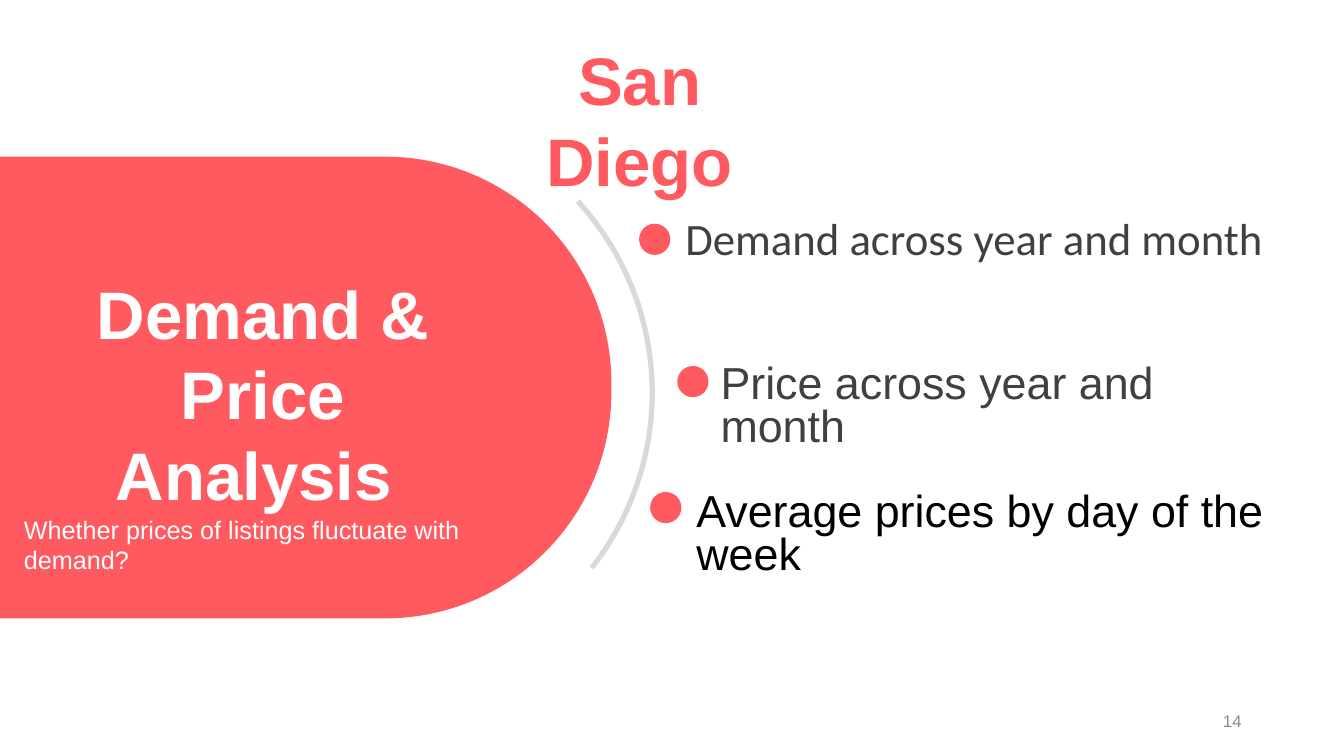
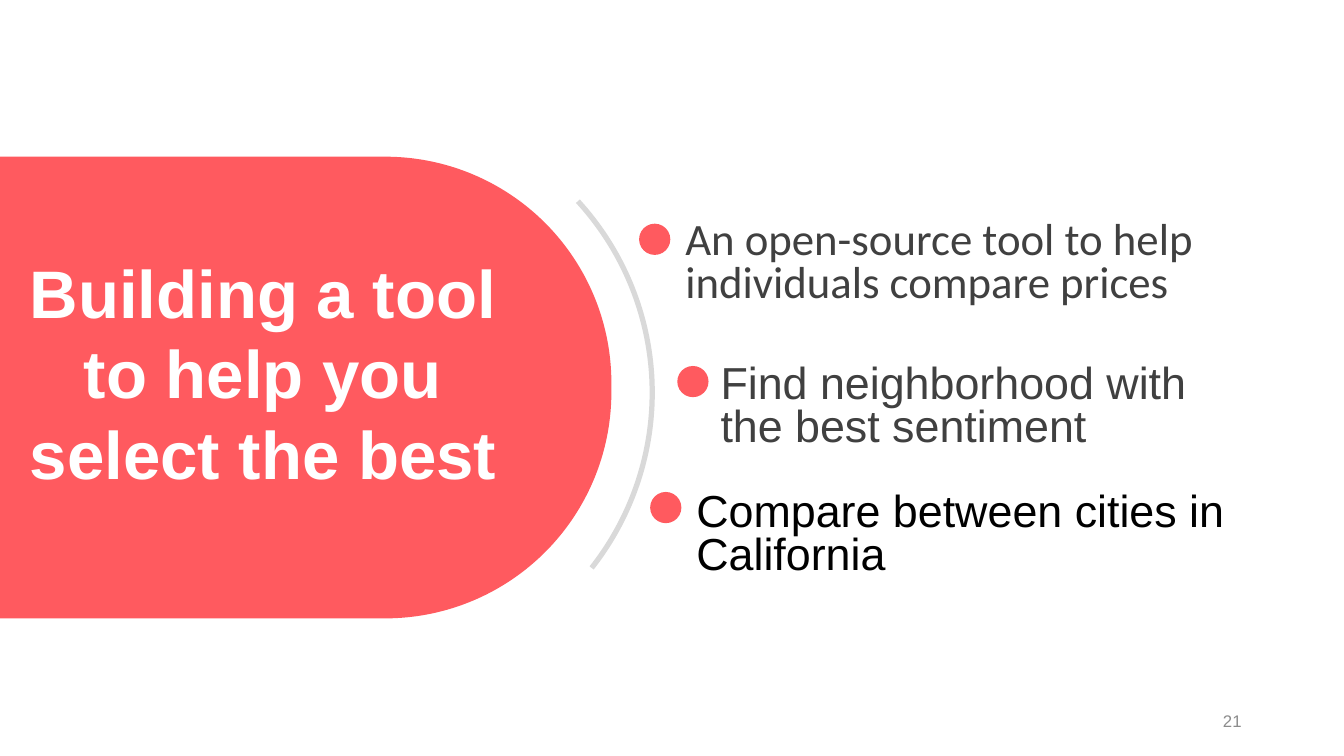
from dataclasses import dataclass

from pptx import Presentation
from pptx.dml.color import RGBColor
from pptx.enum.shapes import MSO_SHAPE
from pptx.enum.text import MSO_ANCHOR, PP_ALIGN
from pptx.util import Pt


@dataclass(frozen=True)
class Theme:
    coral: RGBColor = RGBColor(0xFF, 0x5A, 0x5F)
    white: RGBColor = RGBColor(0xFF, 0xFF, 0xFF)
    black: RGBColor = RGBColor(0x00, 0x00, 0x00)
    dark_gray: RGBColor = RGBColor(0x40, 0x40, 0x40)
    number_gray: RGBColor = RGBColor(0x8C, 0x8C, 0x8C)
    arc_gray: RGBColor = RGBColor(0xD9, 0xD9, 0xD9)
    font: str = "Arial"
    lead_font: str = "Calibri"
    title_size: int = 48
    point_size: int = 32
    subtitle_size: int = 18
    number_size: int = 12


THEME = Theme()
DOT_SIZE = 22.3
POINT_HEIGHT = 70
LINE_HEIGHT = 58
TITLE_WIDTH = 376
ARC_START, ARC_END = 317.57, 38.14
ARC_UNITS_PER_DEGREE = 0.6

POINT_STYLES = [
    ((456.5, 159.8), (482.4, 154.1, 440.6), THEME.lead_font, THEME.dark_gray),
    ((483.8, 261.4), (507.6, 257, 388.8), THEME.font, THEME.dark_gray),
    ((464.4, 351.4), (490.3, 348.5, 453), THEME.font, THEME.black),
]


def add_text(slide, box, lines, size, color, font=THEME.font, bold=False,
             align=PP_ALIGN.LEFT, anchor=MSO_ANCHOR.TOP, spacing=None):
    frame = slide.shapes.add_textbox(*map(Pt, box)).text_frame
    frame.word_wrap = True
    frame.vertical_anchor = anchor
    frame.text = "\n".join(lines)
    for paragraph in frame.paragraphs:
        paragraph.alignment = align
        paragraph.line_spacing = spacing
        paragraph.font.name = font
        paragraph.font.size = Pt(size)
        paragraph.font.bold = bold
        paragraph.font.color.rgb = color


def add_filled_shape(slide, kind, box):
    shape = slide.shapes.add_shape(kind, *map(Pt, box))
    shape.shadow.inherit = False
    shape.fill.solid()
    shape.fill.fore_color.rgb = THEME.coral
    shape.line.fill.background()
    return shape


def add_panel(slide):
    panel = add_filled_shape(slide, MSO_SHAPE.ROUND_2_SAME_RECTANGLE,
                             (53.3, 58.3, 329.8, 437))
    panel.rotation = 90
    panel.adjustments[0] = 0.49
    panel.adjustments[1] = 0


def add_arc(slide):
    arc = slide.shapes.add_shape(MSO_SHAPE.ARC, *map(Pt, (60.5, 77.8, 405.4, 405.4)))
    arc.shadow.inherit = False
    arc.fill.background()
    arc.line.color.rgb = THEME.arc_gray
    arc.line.width = Pt(3.75)
    arc.adjustments[0] = ARC_START * ARC_UNITS_PER_DEGREE
    arc.adjustments[1] = ARC_END * ARC_UNITS_PER_DEGREE


def add_points(slide, points):
    for point, (dot, (left, top, width), font, color) in zip(points, POINT_STYLES):
        add_filled_shape(slide, MSO_SHAPE.OVAL, (*dot, DOT_SIZE, DOT_SIZE))
        add_text(slide, (left, top, width, POINT_HEIGHT), [point],
                 THEME.point_size, color, font, spacing=0.8)


def add_heading(slide, box, lines, color):
    add_text(slide, box, lines, THEME.title_size, color, bold=True, align=PP_ALIGN.CENTER)


def add_section_slide(presentation, title_top, title, points, number):
    slide = presentation.slides.add_slide(presentation.slide_layouts[6])
    add_panel(slide)
    add_arc(slide)
    add_points(slide, points)
    add_heading(slide, (0, title_top, TITLE_WIDTH, 3 * LINE_HEIGHT + 7), title, THEME.white)
    add_text(slide, (678, 500.4, 216, 28.8), [number], THEME.number_size,
             THEME.number_gray, align=PP_ALIGN.RIGHT, anchor=MSO_ANCHOR.MIDDLE)
    return slide


def main():
    presentation = Presentation()
    presentation.slide_width = Pt(960)
    presentation.slide_height = Pt(540)

    demand_slide = add_section_slide(
        presentation, 190.8, ["Demand & Price", "Analysis "],
        ["Demand across year and month",
         "Price across year and month",
         "Average prices by day of the week"], "14")
    add_text(demand_slide, (10, 363.6, TITLE_WIDTH, 50),
             ["Whether prices of listings fluctuate with demand?"],
             THEME.subtitle_size, THEME.white)
    add_heading(demand_slide, (350, 23.8, 213.8, 2 * LINE_HEIGHT + 7),
                ["San Diego"], THEME.coral)

    add_section_slide(
        presentation, 175.7, ["Building a tool to help you select the best"],
        ["An open-source tool to help individuals compare prices",
         "Find neighborhood with the best sentiment",
         "Compare between cities in California"], "21")

    presentation.save("out.pptx")


if __name__ == "__main__":
    main()
